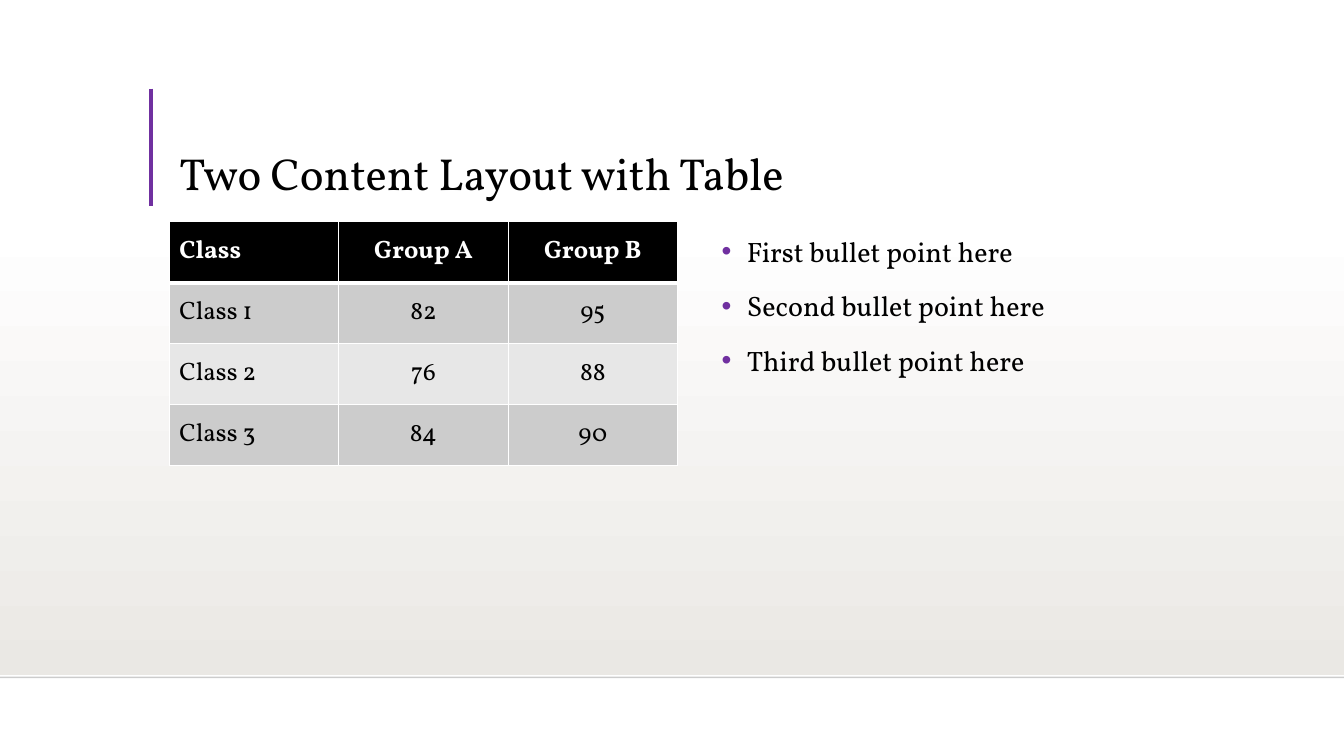
from lxml.etree import SubElement
from pptx import Presentation
from pptx.dml.color import RGBColor
from pptx.enum.shapes import MSO_CONNECTOR, MSO_SHAPE
from pptx.enum.text import MSO_ANCHOR, MSO_AUTO_SIZE, PP_ALIGN
from pptx.oxml import parse_xml
from pptx.oxml.ns import nsdecls, qn
from pptx.util import Inches, Pt

FONT = "Vollkorn"
COLORS = {
    "white": "FFFFFF",
    "black": "000000",
    "accent": "7030A0",
    "floor": "EAE8E4",
    "horizon": "000001",
    "odd_row": "CCCCCC",
    "even_row": "E7E7E7",
}
TABLE_ROWS = [
    ("Class", "Group A", "Group B"),
    ("Class 1", "82", "95"),
    ("Class 2", "76", "88"),
    ("Class 3", "84", "90"),
]
BULLETS = [
    "First bullet point here",
    "Second bullet point here",
    "Third bullet point here",
]


def color(name):
    return RGBColor.from_string(COLORS[name])


def set_font(paragraph, size, color_name, bold=False):
    font = paragraph.font
    font.name, font.size, font.bold = FONT, Pt(size), bold
    font.color.rgb = color(color_name)


def add_line(slide, start, end, color_name, width):
    points = [Inches(value) for value in (*start, *end)]
    line = slide.shapes.add_connector(MSO_CONNECTOR.STRAIGHT, *points)
    line.line.color.rgb = color(color_name)
    line.line.width = Pt(width)
    SubElement(line._element.spPr, qn("a:effectLst"))
    return line


def add_backdrop(slide, left, top, width, height):
    """Fade from white to grey, closed by a faint line below."""
    box = [Inches(value) for value in (left, top, width, height)]
    backdrop = slide.shapes.add_shape(MSO_SHAPE.RECTANGLE, *box)
    backdrop.shadow.inherit = False
    backdrop.line.fill.background()
    backdrop.fill.gradient()
    backdrop.fill.gradient_angle = 270
    for stop, name, position in zip(backdrop.fill.gradient_stops, ("white", "floor"), (0, 1)):
        stop.color.rgb = color(name)
        stop.position = position

    bottom = top + height + 0.02
    horizon = add_line(slide, (left, bottom), (left + width, bottom), "horizon", 1)
    line_color = next(horizon._element.spPr.iter(qn("a:srgbClr")))
    SubElement(line_color, qn("a:alpha"), val="20000")


def add_title(slide, text, left, top, width, height):
    add_line(slide, (left - 0.18, top), (left - 0.18, top + height), "accent", 3)
    title = slide.shapes.title
    title.left, title.top = Inches(left), Inches(top)
    title.width, title.height = Inches(width), Inches(height)
    frame = title.text_frame
    frame.text = text
    frame.auto_size = MSO_AUTO_SIZE.NONE
    frame.vertical_anchor = MSO_ANCHOR.BOTTOM
    paragraph = frame.paragraphs[0]
    paragraph.alignment = PP_ALIGN.LEFT
    paragraph.line_spacing = 0.9
    set_font(paragraph, 32, "black")


def set_borders(cell, top_width, bottom_width):
    properties = cell._tc.get_or_add_tcPr()
    widths = {"lnL": 1, "lnR": 1, "lnT": top_width, "lnB": bottom_width}
    for index, (side, width) in enumerate(widths.items()):
        border = parse_xml(
            f'<a:{side} {nsdecls("a")} w="{Pt(width)}"><a:solidFill>'
            f'<a:srgbClr val="{COLORS["white"]}"/></a:solidFill></a:{side}>'
        )
        properties.insert(index, border)


def add_score_table(slide, rows, left, top, width, height):
    box = [Inches(value) for value in (left, top, width, height)]
    table = slide.shapes.add_table(len(rows), len(rows[0]), *box).table
    for row_index, row in enumerate(rows):
        is_header = row_index == 0
        if is_header:
            fill_name = "black"
        else:
            fill_name = "odd_row" if row_index % 2 else "even_row"
        for column_index, text in enumerate(row):
            cell = table.cell(row_index, column_index)
            cell.text = text
            cell.vertical_anchor = MSO_ANCHOR.MIDDLE
            cell.fill.solid()
            cell.fill.fore_color.rgb = color(fill_name)
            set_borders(cell, 3 if row_index == 1 else 1, 3 if is_header else 1)
            paragraph = cell.text_frame.paragraphs[0]
            paragraph.alignment = PP_ALIGN.CENTER if column_index else PP_ALIGN.LEFT
            set_font(paragraph, 18, "white" if is_header else "black", is_header)


def set_bullet(paragraph):
    properties = paragraph._p.get_or_add_pPr()
    properties.set("marL", str(Inches(0.25)))
    properties.set("indent", str(-Inches(0.25)))
    bullet_color = SubElement(properties, qn("a:buClr"))
    SubElement(bullet_color, qn("a:srgbClr"), val=COLORS["accent"])
    SubElement(properties, qn("a:buFont"), typeface="Arial")
    SubElement(properties, qn("a:buChar"), char="•")


def add_bullets(slide, texts, left, top, width, height):
    box = [Inches(value) for value in (left, top, width, height)]
    frame = slide.shapes.add_textbox(*box).text_frame
    frame.word_wrap = True
    frame.text = "\n".join(texts)
    for paragraph in frame.paragraphs:
        paragraph.line_spacing = 1.2
        paragraph.space_before = Pt(10)
        set_bullet(paragraph)
        set_font(paragraph, 20, "black")


def main():
    presentation = Presentation()
    presentation.slide_width = Inches(13.33)
    presentation.slide_height = Inches(7.5)
    slide = presentation.slides.add_slide(presentation.slide_layouts[5])
    slide.background.fill.solid()
    slide.background.fill.fore_color.rgb = color("white")

    add_backdrop(slide, 0, 2.2, 13.33, 4.5)
    # The title comes first in the layout, so bring it in front of the backdrop.
    slide.shapes._spTree.append(slide.shapes.title._element)
    add_title(slide, "Two Content Layout with Table", 1.68, 0.88, 10.41, 1.16)
    add_score_table(slide, TABLE_ROWS, 1.68, 2.2, 5.04, 2.42)
    add_bullets(slide, BULLETS, 7.06, 2.21, 5.03, 3.76)
    presentation.save("out.pptx")


if __name__ == "__main__":
    main()
